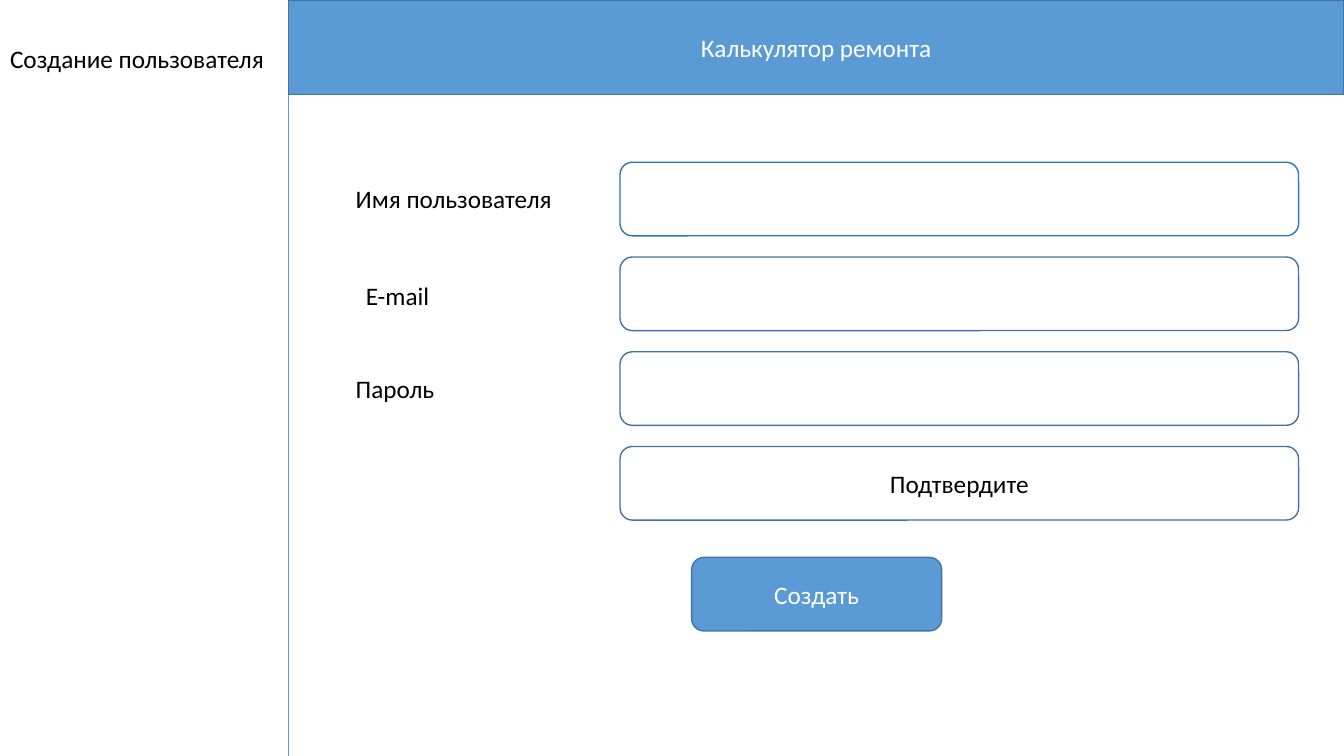
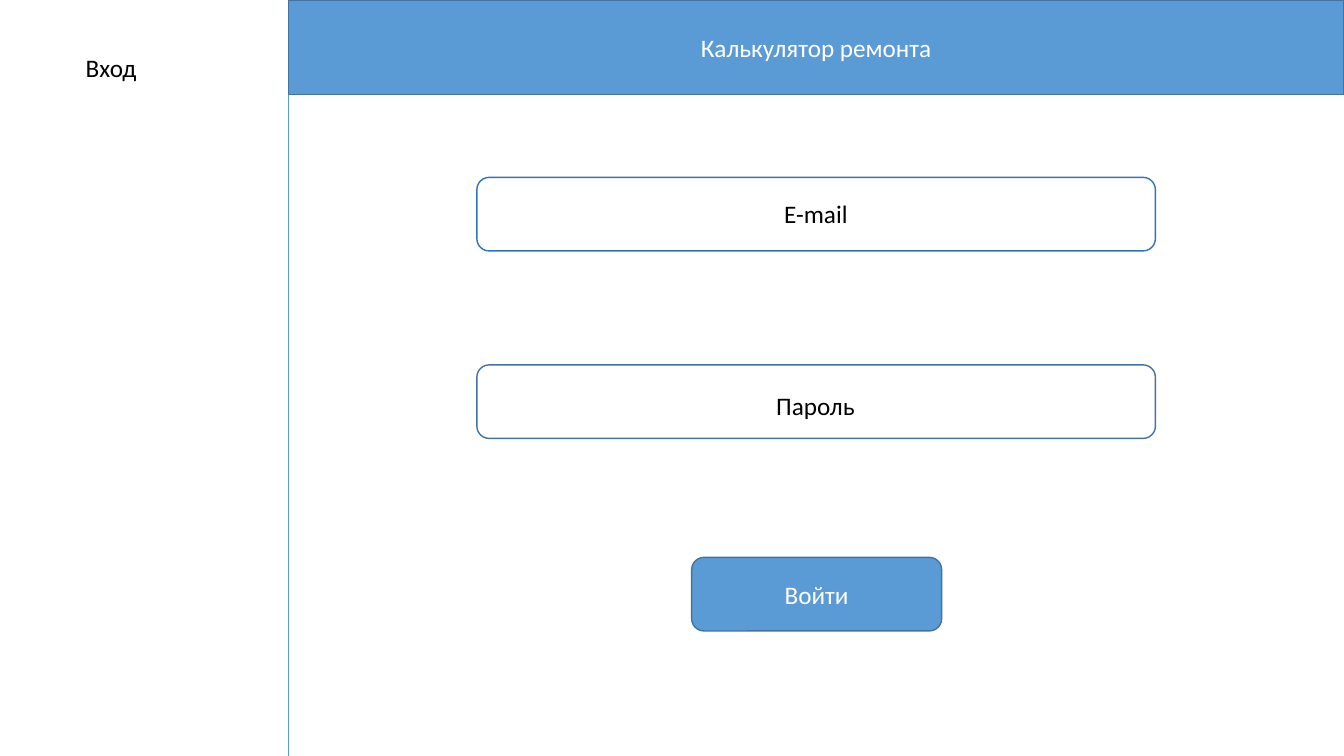
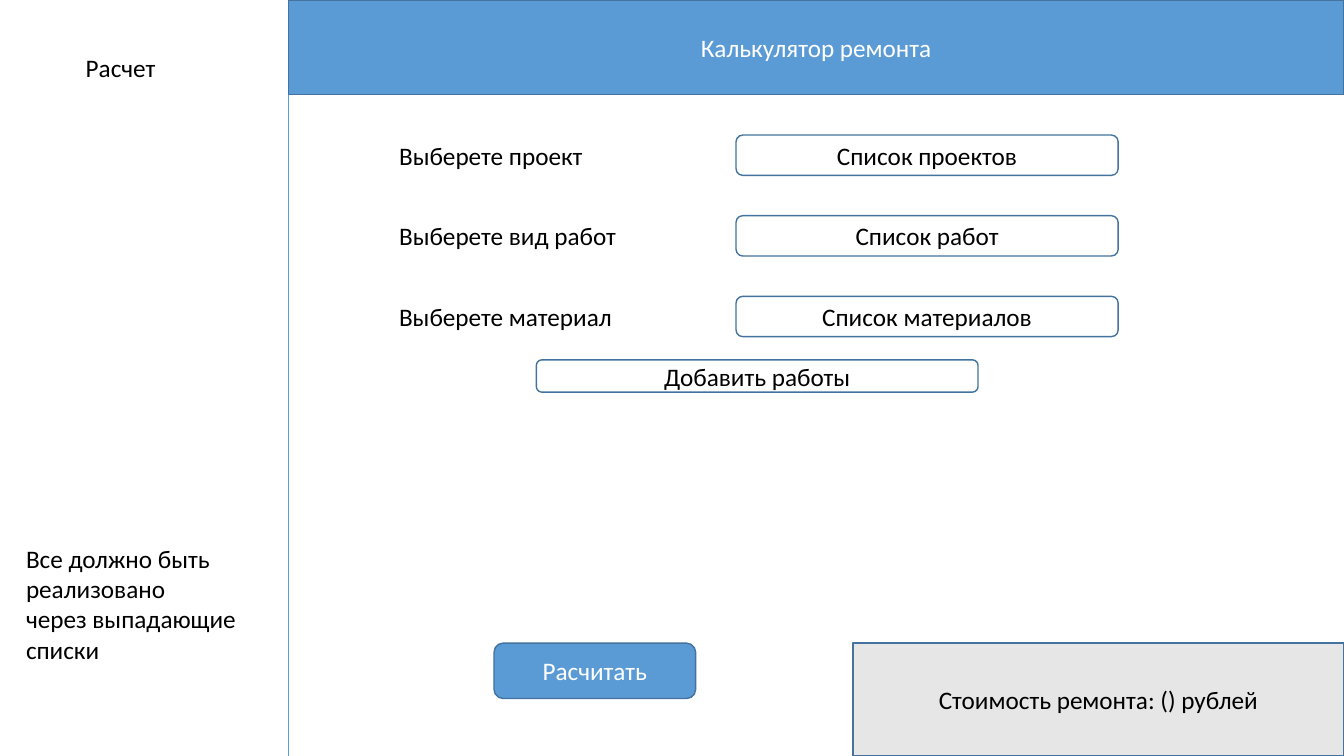
from lxml import etree
from pptx import Presentation
from pptx.dml.color import RGBColor
from pptx.enum.shapes import MSO_CONNECTOR, MSO_SHAPE
from pptx.enum.text import MSO_ANCHOR, MSO_AUTO_SIZE, PP_ALIGN
from pptx.oxml.ns import qn
from pptx.util import Inches, Pt

RECTANGLE = MSO_SHAPE.RECTANGLE
ROUNDED = MSO_SHAPE.ROUNDED_RECTANGLE
STRAIGHT = MSO_CONNECTOR.STRAIGHT
TOP, MIDDLE = MSO_ANCHOR.TOP, MSO_ANCHOR.MIDDLE
LEFT, CENTER = PP_ALIGN.LEFT, PP_ALIGN.CENTER
GROW = MSO_AUTO_SIZE.SHAPE_TO_FIT_TEXT

FONT = "Calibri"
TEXT_SIZE = 18
BLUE, OUTLINE, BRIGHT_OUTLINE = "5B9BD5", "43739E", "2E75B6"
GRAY, BLACK, WHITE = "E7E6E6", "000000", "FFFFFF"

SLIDE_WIDTH, SLIDE_HEIGHT = 13.33, 7.5
SIDEBAR_WIDTH, HEADER_HEIGHT = 2.86, 0.94
LINE_HEIGHT = 0.4
FIELD_WIDTH, FIELD_HEIGHT = 6.73, 0.73
FORM_BUTTON = (6.86, 5.53, 2.48, FIELD_HEIGHT)
SCREEN_NAME_BOX = (0.75, 0.47, 0.9, LINE_HEIGHT)


def color(value):
    return RGBColor.from_string(value)


def write(frame, text, font_color=BLACK, align=LEFT, anchor=TOP, wrap=True):
    frame.word_wrap = wrap
    frame.vertical_anchor = anchor
    frame.text = text
    for paragraph in frame.paragraphs:
        paragraph.alignment = align
        font = paragraph.font
        font.name = FONT
        font.size = Pt(TEXT_SIZE)
        font.color.rgb = color(font_color)


def add_label(slide, text, box, wrap=False):
    frame = slide.shapes.add_textbox(*map(Inches, box)).text_frame
    write(frame, text, wrap=wrap)
    frame.auto_size = GROW


def add_box(slide, box, text="", kind=ROUNDED, fill=None, line=OUTLINE, font_color=BLACK):
    shape = slide.shapes.add_shape(kind, *map(Inches, box))
    shape.shadow.inherit = False
    if fill:
        shape.fill.solid()
        shape.fill.fore_color.rgb = color(fill)
    else:
        shape.fill.background()
    shape.line.color.rgb = color(line)
    shape.line.width = Pt(1)
    if text:
        write(shape.text_frame, text, font_color=font_color, align=CENTER, anchor=MIDDLE)


def add_button(slide, text, box):
    add_box(slide, box, text, fill=BLUE, font_color=WHITE)


def add_divider(slide):
    x = Inches(SIDEBAR_WIDTH)
    divider = slide.shapes.add_connector(STRAIGHT, x, 0, x, Inches(SLIDE_HEIGHT))
    divider.line.color.rgb = color(BLUE)
    divider.line.width = Pt(0.5)
    etree.SubElement(divider._element.spPr, qn("a:effectLst"))


def add_screen(presentation, name, name_box=SCREEN_NAME_BOX):
    slide = presentation.slides.add_slide(presentation.slide_layouts[5])
    title = slide.shapes.title
    title.left, title.top, title.width, title.height = map(Inches, name_box)
    write(title.text_frame, name, wrap=False)
    title.text_frame.auto_size = GROW
    add_divider(slide)
    header = (SIDEBAR_WIDTH, 0, SLIDE_WIDTH - SIDEBAR_WIDTH, HEADER_HEIGHT)
    add_box(slide, header, "Калькулятор ремонта", RECTANGLE, fill=BLUE, font_color=WHITE)
    return slide


def build_registration(presentation):
    slide = add_screen(presentation, "Создание пользователя", (0, 0.38, 2.75, LINE_HEIGHT))
    for row, text in enumerate(["", "", "", "Подтвердите"]):
        line = OUTLINE if row else BRIGHT_OUTLINE
        add_box(slide, (6.15, 1.61 + row * 0.94, FIELD_WIDTH, FIELD_HEIGHT), text, line=line)
    for text, left, top, width in [
        ("Имя пользователя", 3.43, 1.77, 2.16),
        ("E-mail", 3.53, 2.73, 0.84),
        ("Пароль", 3.43, 3.65, 0.99),
    ]:
        add_label(slide, text, (left, top, width, LINE_HEIGHT))
    add_button(slide, "Создать", FORM_BUTTON)


def build_login(presentation):
    slide = add_screen(presentation, "Вход")
    for text, field_top, line, left, top, width in [
        ("E-mail", 1.76, BRIGHT_OUTLINE, 7.68, 1.92, 0.84),
        ("Пароль", 3.62, OUTLINE, 7.6, 3.82, 0.99),
    ]:
        add_box(slide, (4.73, field_top, FIELD_WIDTH, FIELD_HEIGHT), line=line)
        add_label(slide, text, (left, top, width, LINE_HEIGHT))
    add_button(slide, "Войти", FORM_BUTTON)


def build_calculation(presentation):
    slide = add_screen(presentation, "Расчет")
    for row, (prompt, width, choice) in enumerate([
        ("Выберете проект", 2.05, "Список проектов"),
        ("Выберете вид работ", 2.38, "Список работ"),
        ("Выберете материал", 2.34, "Список материалов"),
    ]):
        top = 1.34 + row * 0.8
        add_label(slide, prompt, (3.86, top, width, LINE_HEIGHT))
        add_box(slide, (7.3, top, 3.79, LINE_HEIGHT), choice)
    add_box(slide, (5.32, 3.57, 4.38, 0.32), "Добавить работы")
    note = "Все должно быть реализовано\nчерез выпадающие списки"
    add_label(slide, note, (0.16, 5.34, 2.64, 1.31), wrap=True)
    add_button(slide, "Расчитать", (4.9, 6.38, 2, 0.55))
    add_box(slide, (8.46, 6.38, 4.87, 1.12), "Стоимость ремонта: () рублей", RECTANGLE, fill=GRAY)


def main():
    presentation = Presentation()
    presentation.slide_width = Inches(SLIDE_WIDTH)
    presentation.slide_height = Inches(SLIDE_HEIGHT)
    build_registration(presentation)
    build_login(presentation)
    build_calculation(presentation)
    presentation.save("out.pptx")


main()
